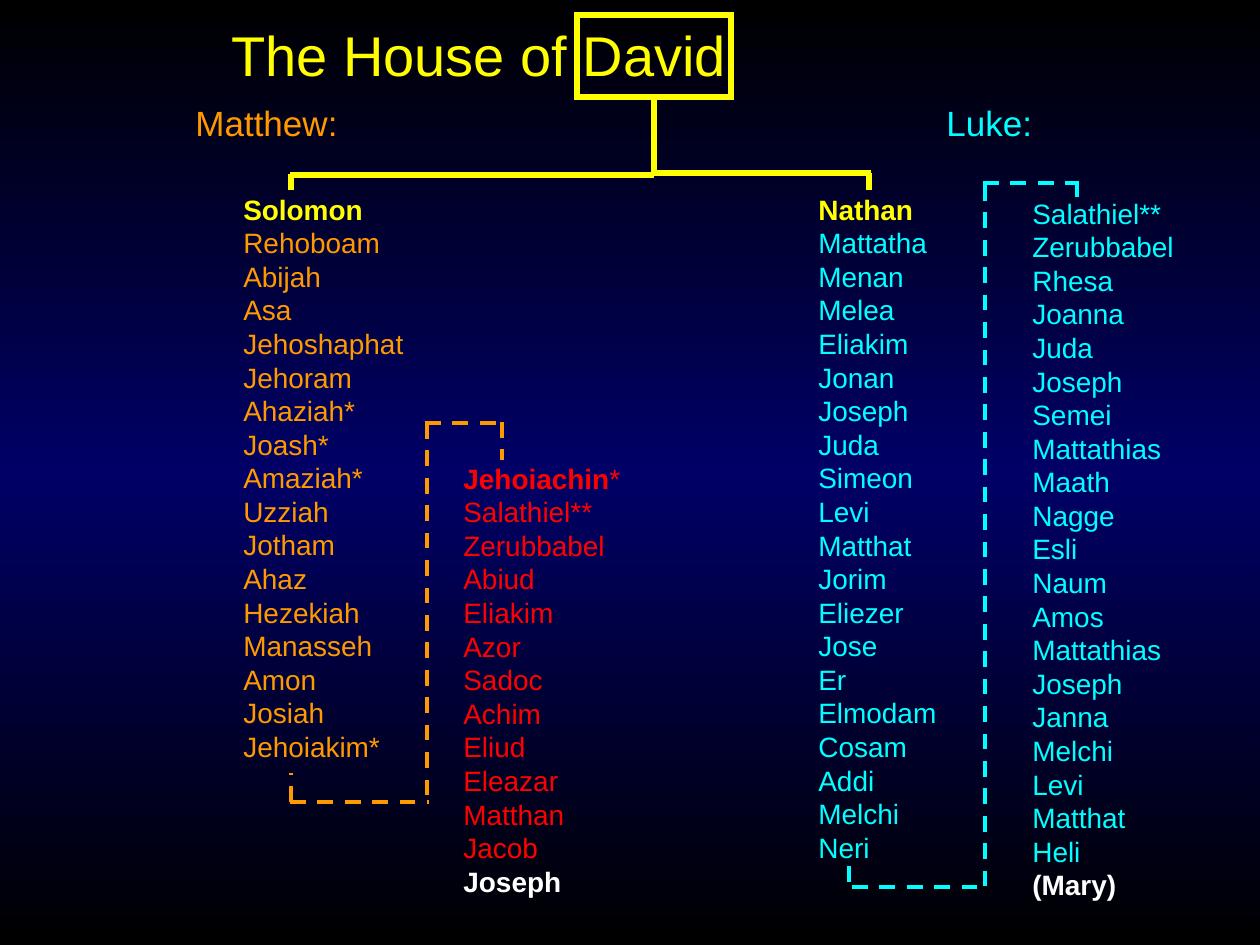
from copy import deepcopy
from dataclasses import dataclass

from pptx import Presentation
from pptx.dml.color import RGBColor
from pptx.enum.dml import MSO_LINE
from pptx.enum.shapes import MSO_CONNECTOR, MSO_SHAPE
from pptx.enum.text import MSO_ANCHOR, MSO_AUTO_SIZE, PP_ALIGN
from pptx.oxml.ns import qn
from pptx.util import Emu, Pt
from lxml.etree import SubElement

EMU_PER_PX = 914400 / 126


@dataclass(frozen=True)
class Theme:
    font: str = "Arial"
    title_size: int = 32
    label_size: int = 20
    name_size: int = 16
    leading: float = 1.2
    solid_width: float = 3
    dash_width: float = 2.25
    royal: str = "FFFF00"
    matthew: str = "FF9900"
    cursed: str = "FF0000"
    luke: str = "00FFFF"
    parent: str = "FFFFFF"
    edge: str = "000000"
    glow: str = "000066"


THEME = Theme()

SOLOMON_LINE = [
    "Solomon", "Rehoboam", "Abijah", "Asa", "Jehoshaphat", "Jehoram", "Ahaziah*",
    "Joash*", "Amaziah*", "Uzziah", "Jotham", "Ahaz", "Hezekiah", "Manasseh",
    "Amon", "Josiah", "Jehoiakim*",
]
JEHOIACHIN_LINE = [
    "Jehoiachin*", "Salathiel**", "Zerubbabel", "Abiud", "Eliakim", "Azor", "Sadoc",
    "Achim", "Eliud", "Eleazar", "Matthan", "Jacob", "Joseph",
]
NATHAN_LINE = [
    "Nathan", "Mattatha", "Menan", "Melea", "Eliakim", "Jonan", "Joseph", "Juda",
    "Simeon", "Levi", "Matthat", "Jorim", "Eliezer", "Jose", "Er", "Elmodam",
    "Cosam", "Addi", "Melchi", "Neri",
]
SALATHIEL_LINE = [
    "Salathiel**", "Zerubbabel", "Rhesa", "Joanna", "Juda", "Joseph", "Semei",
    "Mattathias", "Maath", "Nagge", "Esli", "Naum", "Amos", "Mattathias", "Joseph",
    "Janna", "Melchi", "Levi", "Matthat", "Heli", "(Mary)",
]

# Segments: x1, y1, x2, y2
DAVID_TO_NATHAN = [(654, 173, 871, 173), (869, 173, 869, 190)]
DAVID_TO_SOLOMON = [(290, 175, 654, 175), (654, 97, 654, 175), (291, 174, 291, 190)]
JEHOIAKIM_TO_JEHOIACHIN = [
    (427, 423, 427, 801), (290, 802, 429, 802), (291, 802, 291, 773),
    (425, 423, 504, 423), (502, 422, 502, 460),
]
NERI_TO_SALATHIEL = [
    (852, 887, 987, 887), (985, 185, 985, 887), (849, 866, 849, 889),
    (983, 183, 1079, 183), (1077, 181, 1077, 201),
]


def px(*lengths):
    return [Emu(round(length * EMU_PER_PX)) for length in lengths]


def style_run(run, size, color, bold=False):
    run.font.name = THEME.font
    run.font.size = Pt(size)
    run.font.color.rgb = RGBColor.from_string(color)
    run.font.bold = bold


def paint_background(slide):
    fill = slide.background.fill
    fill.gradient()
    fill.gradient_angle = 90
    stop_list = slide.element.find(".//" + qn("a:gsLst"))
    stop_list.append(deepcopy(stop_list[0]))
    colors = (THEME.edge, THEME.glow, THEME.edge)
    for stop, position, color in zip(fill.gradient_stops, (0, 0.5, 1), colors):
        stop.position = position
        stop.color.rgb = RGBColor.from_string(color)


def set_title(slide, words, box):
    title = slide.shapes.title
    title.left, title.top, title.width, title.height = px(*box)
    frame = title.text_frame
    frame.text = words
    frame.vertical_anchor = MSO_ANCHOR.MIDDLE
    heading = frame.paragraphs[0]
    heading.alignment = PP_ALIGN.CENTER
    style_run(heading.runs[0], THEME.title_size, THEME.royal)


def add_lines(slide, lines, box, size, color, highlights=None):
    """Stack lines of text; highlights maps a line index to its bold colour."""
    highlights = highlights or {}
    frame = slide.shapes.add_textbox(*px(*box)).text_frame
    frame.word_wrap = False
    frame.auto_size = MSO_AUTO_SIZE.SHAPE_TO_FIT_TEXT
    frame.text = "\n".join(lines)
    for index, paragraph in enumerate(frame.paragraphs):
        paragraph.line_spacing = Pt(size * THEME.leading)
        run = paragraph.runs[0]
        if index not in highlights:
            style_run(run, size, color)
            continue
        name = run.text.rstrip("*")
        marks = run.text[len(name):]
        run.text = name
        style_run(run, size, highlights[index], bold=True)
        if marks:
            footnote = paragraph.add_run()
            footnote.text = marks
            style_run(footnote, size, color)


def add_link(slide, segments, color, width, dash=None):
    link = slide.shapes.add_group_shape()
    for segment in segments:
        connector = link.shapes.add_connector(MSO_CONNECTOR.STRAIGHT, *px(*segment))
        connector.line.color.rgb = RGBColor.from_string(color)
        connector.line.width = Pt(width)
        connector.line.dash_style = dash
        SubElement(connector._element.spPr, qn("a:effectLst"))


def add_frame(slide, box):
    """Outline a box with square corners."""
    frame = slide.shapes.add_shape(MSO_SHAPE.RECTANGLE, *px(*box))
    frame.shadow.inherit = False
    frame.fill.background()
    frame.line.color.rgb = RGBColor.from_string(THEME.royal)
    frame.line.width = Pt(THEME.solid_width)
    outline = frame._element.spPr.find(qn("a:ln"))
    SubElement(outline, qn("a:miter"), lim="800000")


def main():
    deck = Presentation()
    deck.slide_width, deck.slide_height = px(1260, 945)
    slide = deck.slides.add_slide(deck.slide_layouts[5])
    paint_background(slide)
    set_title(slide, "The House of David", (67, 0, 824, 108))

    for names, box, color, highlights in (
        (NATHAN_LINE, (806, 186, 145, 684), THEME.luke, {0: THEME.royal}),
        (SALATHIEL_LINE, (1020, 190, 169, 718), THEME.luke, {20: THEME.parent}),
        (SOLOMON_LINE, (231, 186, 187, 617), THEME.matthew, {0: THEME.royal}),
        (JEHOIACHIN_LINE, (451, 455, 185, 450), THEME.cursed,
         {0: THEME.cursed, 12: THEME.parent}),
    ):
        add_lines(slide, names, box, THEME.name_size, color, highlights)

    for descent in (DAVID_TO_NATHAN, DAVID_TO_SOLOMON):
        add_link(slide, descent, THEME.royal, THEME.solid_width)
    for descent, color in (
        (JEHOIAKIM_TO_JEHOIACHIN, THEME.matthew),
        (NERI_TO_SALATHIEL, THEME.luke),
    ):
        add_link(slide, descent, color, THEME.dash_width, MSO_LINE.DASH)

    for gospel, box, color in (
        ("Matthew:", (183, 95, 170, 55), THEME.matthew),
        ("Luke:", (934, 95, 113, 55), THEME.luke),
    ):
        add_lines(slide, [gospel], box, THEME.label_size, color)
    add_frame(slide, (577, 15, 154, 82))
    deck.save("out.pptx")


if __name__ == "__main__":
    main()
